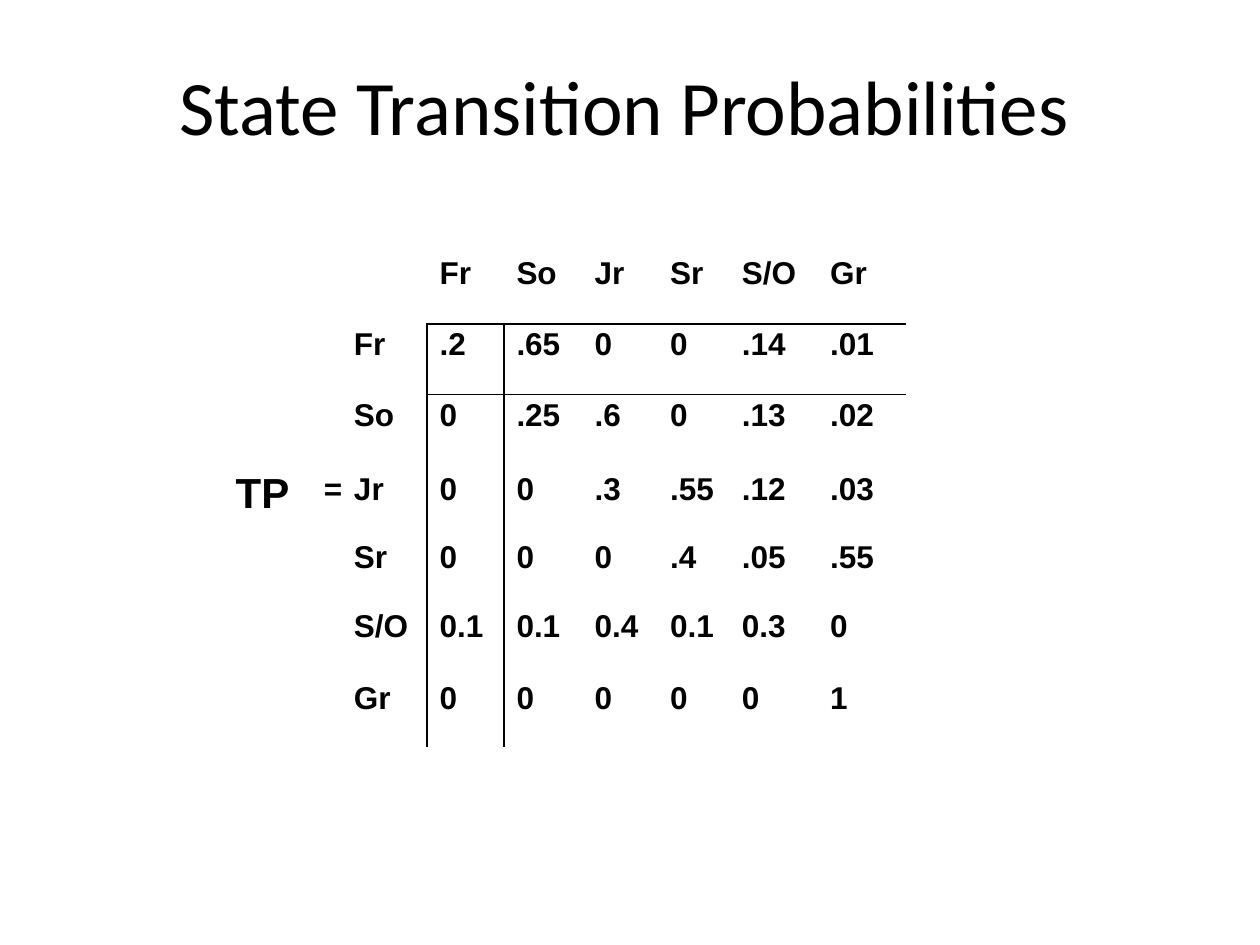
from lxml.etree import SubElement
from pptx import Presentation
from pptx.dml.color import RGBColor
from pptx.enum.text import MSO_ANCHOR, PP_ALIGN
from pptx.oxml.ns import qn
from pptx.util import Inches, Pt

BLACK = RGBColor(0, 0, 0)
WHITE = RGBColor(255, 255, 255)
NO_STYLE = "{2D5ABB26-0587-4C30-8999-92F81FD0307C}"


def add_run(p, text, size, font, bold=False):
    r = p.add_run()
    r.text = text
    r.font.size = Pt(size)
    r.font.name = font
    r.font.bold = bold
    r.font.color.rgb = BLACK


def add_border(cell, side):
    ln = SubElement(cell._tc.get_or_add_tcPr(), qn(f"a:ln{side}"), w=str(Pt(1)))
    fill = SubElement(ln, qn("a:solidFill"))
    SubElement(fill, qn("a:srgbClr"), val=str(BLACK))


prs = Presentation()
prs.slide_width, prs.slide_height = Inches(10), Inches(7.5)
s = prs.slides.add_slide(prs.slide_layouts[6])

# Title
tf = s.shapes.add_textbox(Inches(0.33), Inches(0.33), Inches(9.25), Inches(1)).text_frame
tf.word_wrap = True
tf.vertical_anchor = MSO_ANCHOR.MIDDLE
p = tf.paragraphs[0]
p.alignment = PP_ALIGN.CENTER
add_run(p, "State Transition Probabilities", 44, "Calibri")

# Transition matrix: label, equals sign, row state, then probabilities
states = ["Fr", "So", "Jr", "Sr", "S/O", "Gr"]
probabilities = [
    [".2", ".65", "0", "0", ".14", ".01"],
    ["0", ".25", ".6", "0", ".13", ".02"],
    ["0", "0", ".3", ".55", ".12", ".03"],
    ["0", "0", "0", ".4", ".05", ".55"],
    ["0.1", "0.1", "0.4", "0.1", "0.3", "0"],
    ["0", "0", "0", "0", "0", "1"],
]
rows = [["", "", ""] + states]
rows += [["", "", state] + values for state, values in zip(states, probabilities)]
rows[3][:2] = ["TP", "="]
col_widths = [0.7, 0.23, 0.68, 0.61, 0.62, 0.6, 0.57, 0.7, 0.7]
row_heights = [0.56, 0.56, 0.59, 0.54, 0.55, 0.57, 0.55]

table = s.shapes.add_table(len(rows), len(col_widths), Inches(1.77), Inches(2.01),
                           Inches(sum(col_widths)), Inches(sum(row_heights))).table
table.first_row = table.horz_banding = False
table._tbl.tblPr.find(qn("a:tableStyleId")).text = NO_STYLE
for col, width in zip(table.columns, col_widths):
    col.width = Inches(width)
for row, height in zip(table.rows, row_heights):
    row.height = Inches(height)

for i, values in enumerate(rows):
    for j, text in enumerate(values):
        cell = table.cell(i, j)
        if text:
            p = cell.text_frame.paragraphs[0]
            p.line_spacing = 0.9
            add_run(p, text, 24 if text == "TP" else 18, "Arial", True)

        # Rules between the state names and the probabilities
        if i >= 1 and j == 3:
            add_border(cell, "L")
        if i >= 1 and j == 2:
            add_border(cell, "R")
        if i == 1 and j >= 3:
            add_border(cell, "T")
        if i == 0 and j >= 3:
            add_border(cell, "B")

        # The S/O probabilities stand on white
        if i == 5 and 3 <= j <= 7:
            cell.fill.solid()
            cell.fill.fore_color.rgb = WHITE
        else:
            cell.fill.background()

prs.save("out.pptx")
